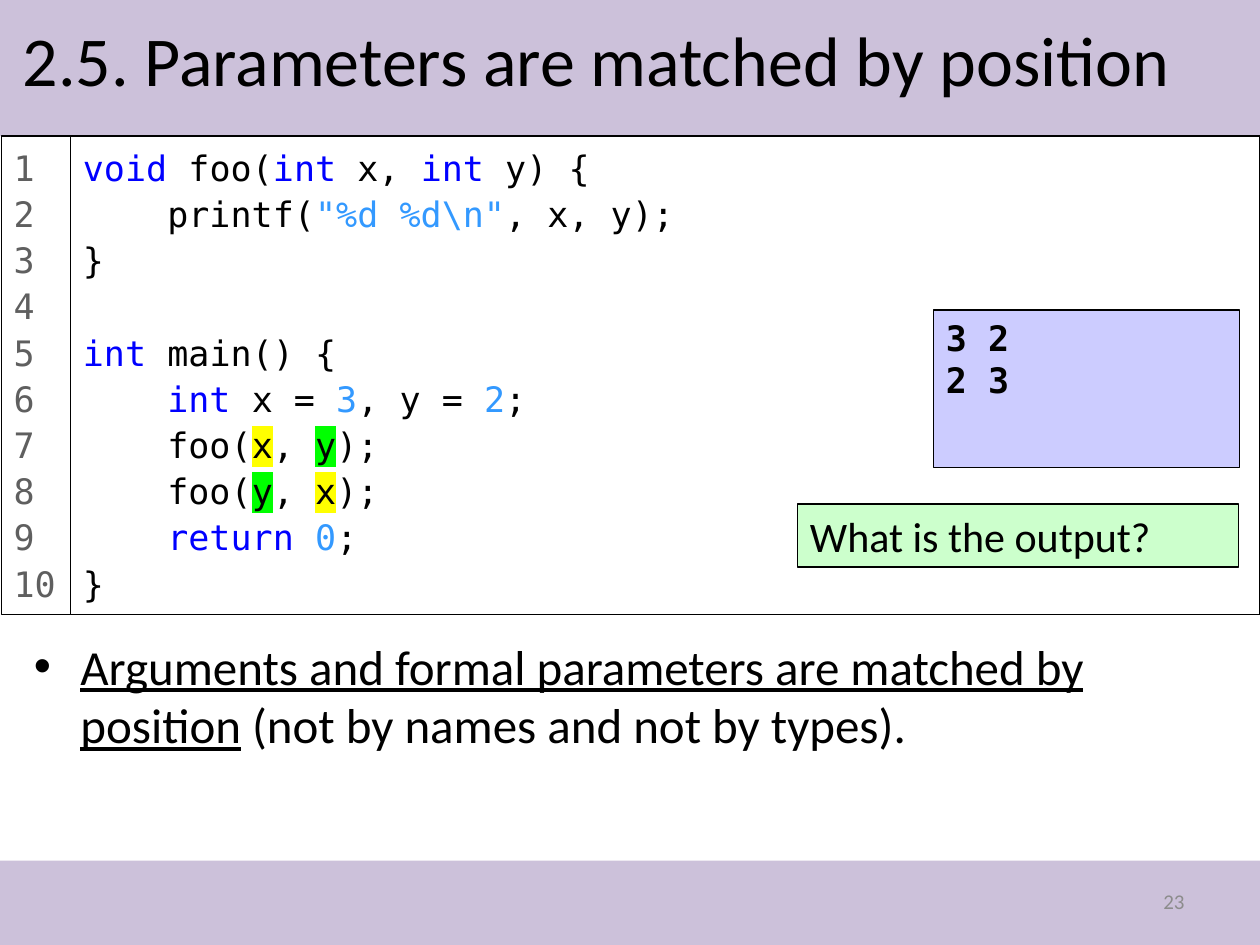
import pptx
import pptx.dml.color
import pptx.enum.shapes
import pptx.enum.text
import pptx.oxml
import pptx.oxml.ns
import pptx.util
from pptx.util import Inches

ALIGN = pptx.enum.text.PP_ALIGN
ANCHOR = pptx.enum.text.MSO_ANCHOR
MONO = "DejaVu Sans Mono"
SANS = "Calibri"


def color(value):
    return pptx.dml.color.RGBColor.from_string(value)


def write(box, lines, anchor=ANCHOR.TOP, align=ALIGN.LEFT, spacing=1.0, ink="000000", **base):
    """Fill a box; each line is a list of (text, format values) spans."""
    frame = box.text_frame
    frame.word_wrap = True
    frame.auto_size = pptx.enum.text.MSO_AUTO_SIZE.NONE
    frame.vertical_anchor = anchor
    for number, line in enumerate(lines):
        para = frame.add_paragraph() if number else frame.paragraphs[0]
        para.alignment = align
        para.line_spacing = spacing
        para.font.size = base["size"]
        for text, extra in line:
            values = {**base, **extra}
            span = para.add_run()
            span.text = text
            span.font.color.rgb = color(values.pop("ink", ink))
            mark = values.pop("mark", None)
            if mark:
                highlight = pptx.oxml.parse_xml(
                    f'<a:highlight {pptx.oxml.ns.nsdecls("a")}><a:srgbClr val="{mark}"/></a:highlight>')
                span.font._element.append(highlight)
            for name, value in values.items():
                setattr(span.font, name, value)


deck = pptx.Presentation()
deck.slide_width, deck.slide_height = Inches(10), Inches(7.5)
page = deck.slides.add_slide(deck.slide_layouts[5])

# Rectangles, back to front: left, top, width, height, fill, outlined
rectangles = {
    "header band": (0, 0, 10, 1.08, "CCC1DA", False),
    "footer band": (0, 6.83, 10, 0.67, "CCC1DA", False),
    "code": (0.56, 1.08, 9.44, 3.8, "FFFFFF", True),
    "line numbers": (0.01, 1.08, 0.55, 3.8, "FFFFFF", True),
    "question": (6.33, 4, 3.5, 0.5, "CCFFCC", True),
    "output": (7.41, 2.46, 2.43, 1.25, "CCCCFF", True),
}
boxes = {}
for part, (left, top, width, height, fill, outlined) in rectangles.items():
    box = page.shapes.add_shape(pptx.enum.shapes.MSO_SHAPE.RECTANGLE,
                                Inches(left), Inches(top), Inches(width), Inches(height))
    box.shadow.inherit = False
    box.fill.solid()
    box.fill.fore_color.rgb = color(fill)
    if outlined:
        box.line.color.rgb = color("000000")
        box.line.width = pptx.util.Pt(0.75)
    else:
        box.line.fill.background()
    boxes[part] = box

# Title, moved in front of the header band
title = page.shapes.title
title.left, title.top, title.width, title.height = map(Inches, (0.08, 0.08, 9.84, 0.92))
page.shapes._spTree.append(title._element)
write(title, [[("2.5. Parameters are matched by position", {})]],
      size=pptx.util.Pt(40), name=SANS)

# Code listing
plain = {}
keyword = {"ink": "0000FF"}
literal = {"ink": "3399FF"}
first = {"mark": "FFFF00"}
second = {"mark": "00FF00"}
code = [
    [("void", keyword), (" foo(", plain), ("int", keyword), (" x, ", plain),
     ("int", keyword), (" y) {", plain)],
    [("    printf(", plain), ('"%d %d\\n"', literal), (", x, y);", plain)],
    [("}", plain)],
    [],
    [("int", keyword), (" main() {", plain)],
    [("    int", keyword), (" x = ", plain), ("3", literal),
     (", y = ", plain), ("2", literal), (";", plain)],
    [("    foo(", plain), ("x", first), (", ", plain), ("y", second), (");", plain)],
    [("    foo(", plain), ("y", second), (", ", plain), ("x", first), (");", plain)],
    [("    return ", keyword), ("0", literal), (";", plain)],
    [("}", plain)],
]
mono = {"size": pptx.util.Pt(20), "name": MONO}
write(boxes["code"], code, spacing=1.1, **mono)
write(boxes["line numbers"], [[(str(number), plain)] for number in range(1, len(code) + 1)],
      spacing=1.1, ink="5F5F5F", **mono)

# Question and program output
write(boxes["question"], [[("What is the output?", plain)]], size=pptx.util.Pt(24), name=SANS)
write(boxes["output"], [[("3 2", plain)], [("2 3", plain)]], bold=True, **mono)

# Bullet point
body = page.shapes.add_textbox(Inches(0.17), Inches(5), Inches(9.67), Inches(1.67))
props = body.text_frame.paragraphs[0]._p.get_or_add_pPr()
props.set("marL", str(Inches(0.37)))
props.set("indent", str(Inches(-0.37)))
for tag in ('buFont typeface="Arial"', 'buChar char="•"'):
    props.append(pptx.oxml.parse_xml(f'<a:{tag} {pptx.oxml.ns.nsdecls("a")}/>'))
underlined = {"underline": True}
write(body, [[("Arguments and formal parameters are matched by", underlined), (" ", plain),
              ("position", underlined), (" (not by names and not by types).", plain)]],
      size=pptx.util.Pt(28), name=SANS)

# Slide number
footer = page.shapes.add_textbox(Inches(7.17), Inches(6.95), Inches(2.33), Inches(0.4))
write(footer, [[("23", plain)]], anchor=ANCHOR.MIDDLE, align=ALIGN.RIGHT, ink="8C8C8C",
      size=pptx.util.Pt(12), name=SANS)

deck.save("out.pptx")
